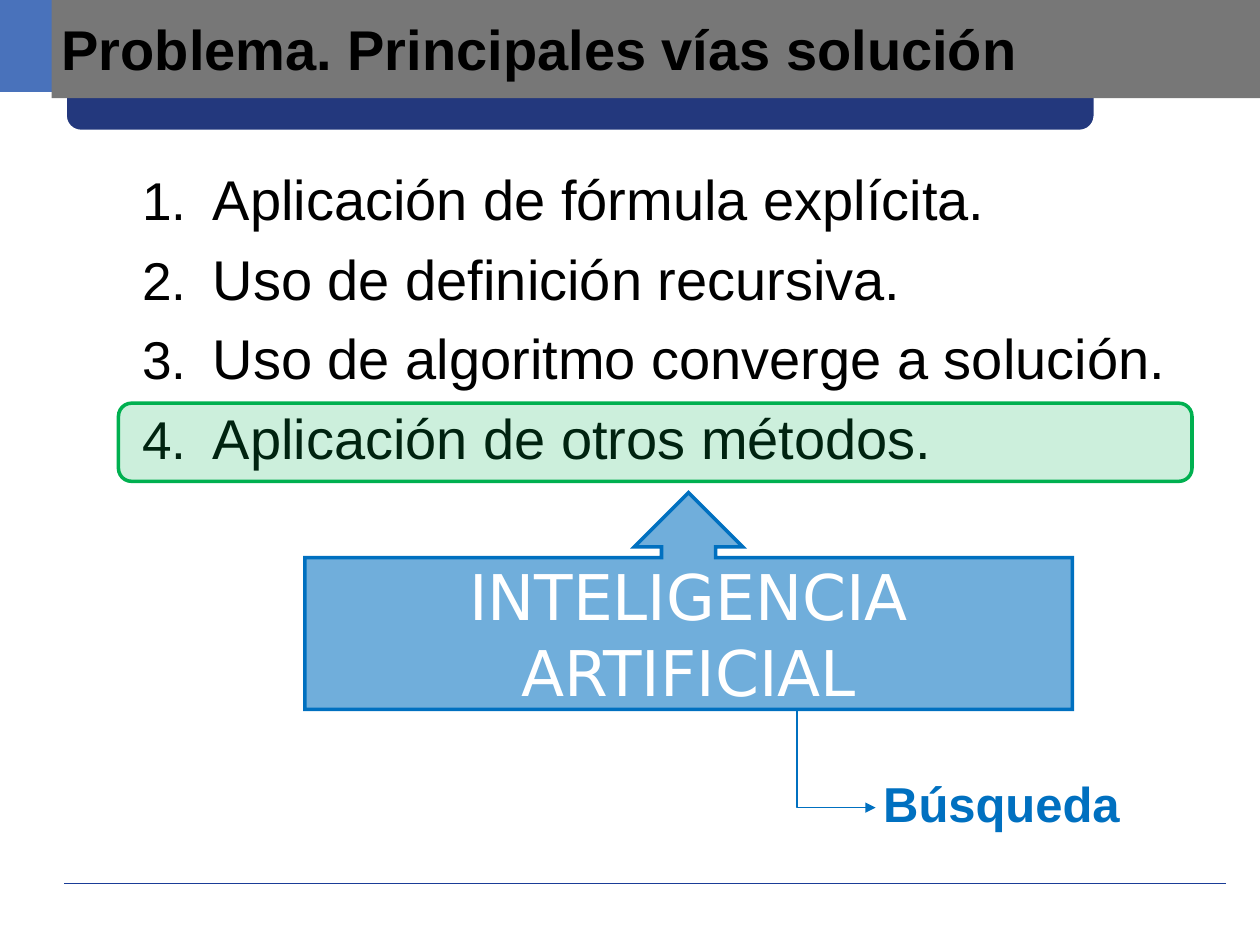
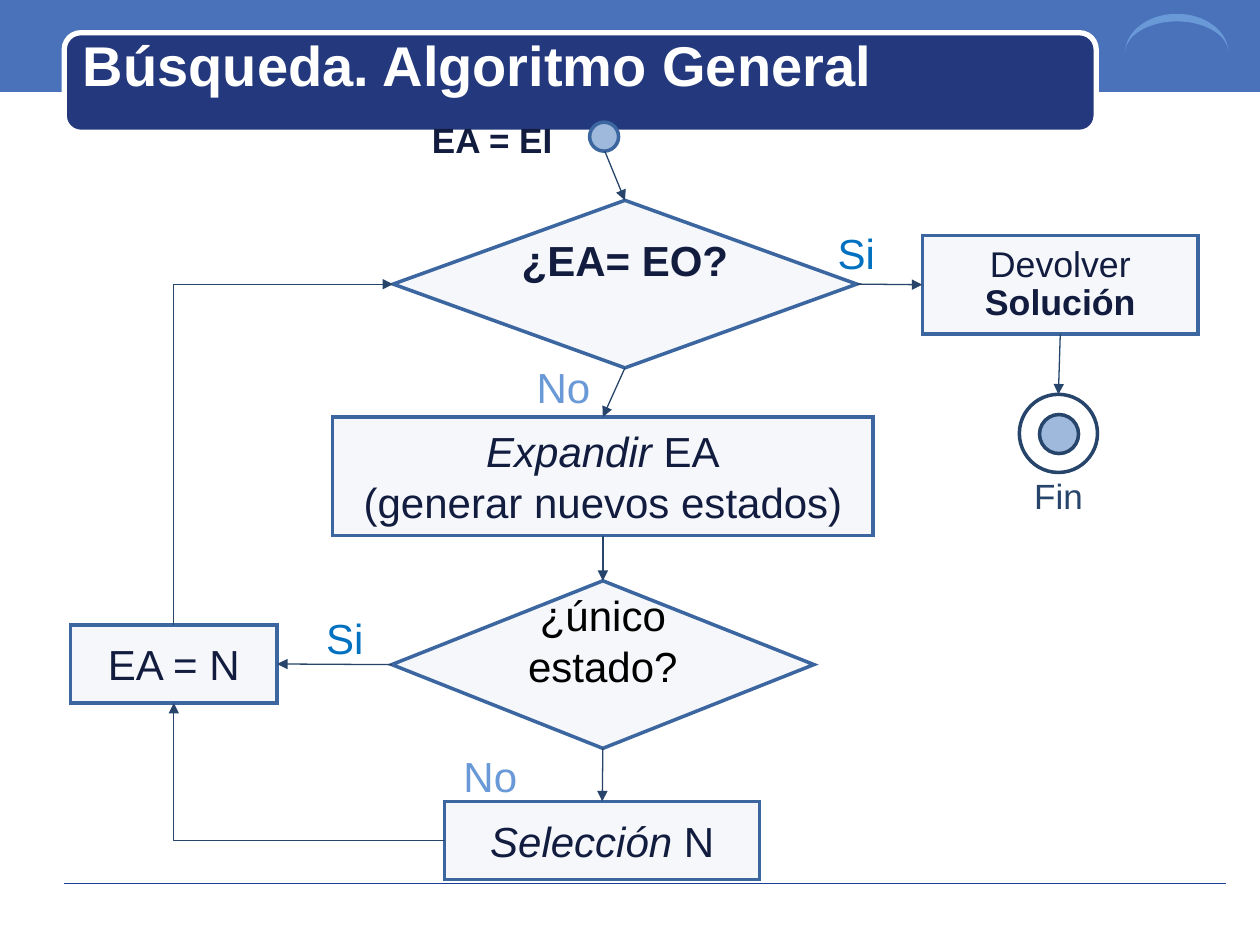
import math

from lxml import etree
from pptx import Presentation
from pptx.dml.color import RGBColor
from pptx.enum import shapes, text
from pptx.oxml import ns
from pptx.util import Inches, Pt

COLORS = {
    "band": "4972BB", "panel": "23387D", "rule": "1A3D97", "crescent": "6A99D8",
    "gray": "777777", "black": "000000", "white": "FFFFFF", "green": "00B050",
    "blue": "0070C0", "step": "9FB9DC", "step_line": "3B669F", "ink": "121C3F",
    "arrow": "27446A",
}
SHAPE = shapes.MSO_SHAPE
TOP, LEFT, BOTTOM, RIGHT = range(4)
TITLE = {"size": 32, "bold": True}
STEP = {"size": 24, "color": "ink"}
ITALIC = {**STEP, "italic": True}
FRAME = {"word_wrap": True, "vertical_anchor": text.MSO_ANCHOR.TOP,
         "margin_left": Inches(0.1), "margin_right": Inches(0.1),
         "margin_top": Inches(0.05), "margin_bottom": Inches(0.05)}
LABEL_FRAME = {"margin_right": 0}
# The lower margin lifts the question above the middle of the diamond.
DECISION_FRAME = {"margin_left": Inches(0.02), "margin_right": Inches(0.02),
                  "margin_top": Inches(0.04), "margin_bottom": Inches(0.43)}


def rgb(name):
    return RGBColor.from_string(COLORS[name])


def sub(parent, tag, **attributes):
    return etree.SubElement(parent, ns.qn(tag), attributes)


def set_attributes(target, values):
    for name, value in values.items():
        setattr(target, name, value)


def format_font(font, size, color="black", name="Arial", **flags):
    values = {"size": Pt(size), "name": name, **flags}
    set_attributes(font, values)
    font.color.rgb = rgb(color)


def write(shape, paragraphs, frame=None, **paragraph_values):
    """Fill a shape with paragraphs, each a list of (text, font format) runs."""
    text_frame = shape.text_frame
    set_attributes(text_frame, {**FRAME, **(frame or {})})
    for index, runs in enumerate(paragraphs):
        paragraph = text_frame.add_paragraph() if index else text_frame.paragraphs[0]
        set_attributes(paragraph, paragraph_values)
        for content, font_format in runs:
            run = paragraph.add_run()
            run.text = content
            format_font(run.font, **font_format)
    return text_frame.paragraphs


def paint(shape, fill=None, line=None, alpha=None, width=2):
    shape.shadow.inherit = False
    if fill:
        shape.fill.solid()
        shape.fill.fore_color.rgb = rgb(fill)
    else:
        shape.fill.background()
    if alpha:
        color = shape.fill._xPr.find(".//" + ns.qn("a:srgbClr"))
        sub(color, "a:alpha", val=str(alpha * 1000))
    if line:
        shape.line.color.rgb = rgb(line)
        shape.line.width = Pt(width)
        sub(shape.line._get_or_add_ln(), "a:miter", lim="800000")
    else:
        shape.line.fill.background()


def add_shape(slide, kind, box, **style):
    shape = slide.shapes.add_shape(kind, *map(Inches, box))
    paint(shape, **style)
    return shape


def add_text(slide, box, paragraphs, frame=None, **paragraph_values):
    shape = slide.shapes.add_textbox(*map(Inches, box))
    return write(shape, paragraphs, frame, **paragraph_values)


def add_label(slide, box, content, **font_format):
    add_text(slide, box, [[(content, font_format)]], LABEL_FRAME)


def add_title(slide, left, top, content, color):
    add_text(slide, (left, top, 9.69, 0.66), [[(content, {**TITLE, "color": color})]],
             {"vertical_anchor": text.MSO_ANCHOR.MIDDLE})


def add_step(slide, kind, box, paragraphs, frame=None, **paragraph_values):
    shape = add_shape(slide, kind, box, fill="step", line="step_line", alpha=10)
    write(shape, paragraphs, {"vertical_anchor": text.MSO_ANCHOR.MIDDLE, **(frame or {})},
          alignment=text.PP_ALIGN.CENTER, **paragraph_values)
    return shape


def add_line(slide, start, end, color="arrow", preset="line", arrow_end="a:tailEnd"):
    """Draw a connector; each end is an (x, y) point or a (shape, side) pair."""
    elbow = preset.startswith("bent")
    kind = shapes.MSO_CONNECTOR.ELBOW if elbow else shapes.MSO_CONNECTOR.STRAIGHT
    points, joins = [], []
    for first, second in (start, end):
        joined = hasattr(first, "shape_id")
        joins.append((first, second) if joined else None)
        points += [0, 0] if joined else [Inches(first), Inches(second)]
    connector = slide.shapes.add_connector(kind, *points)
    for join, connect in zip(joins, (connector.begin_connect, connector.end_connect)):
        if join:
            connect(*join)
    connector.line.color.rgb = rgb(color)
    connector.line.width = Pt(0.75)
    properties = connector._element.spPr
    properties.find(ns.qn("a:prstGeom")).set("prst", preset)
    if arrow_end:
        sub(connector.line._get_or_add_ln(), arrow_end, type="triangle")
    sub(properties, "a:effectLst")
    return connector


def add_crescent(slide):
    center_x, base_y, radius_x = 9.34, 0.42, 0.41
    angles = [math.pi * step / 40 for step in range(41)]
    outline = [(Inches(center_x + radius_x * math.cos(angle)),
                Inches(base_y - height * math.sin(angle)))
               for height, sweep in ((0.31, angles), (0.25, angles[::-1]))
               for angle in sweep]
    builder = slide.shapes.build_freeform(*outline[0])
    builder.add_line_segments(outline[1:], close=True)
    paint(builder.convert_to_shape(), fill="crescent")


def add_base_slide(presentation):
    slide = presentation.slides.add_slide(presentation.slide_layouts[6])
    add_shape(slide, SHAPE.RECTANGLE, (0, 0, 10, 0.73), fill="band")
    add_line(slide, (0.51, 7.01), (9.73, 7.01), color="rule", arrow_end=None)
    add_shape(slide, SHAPE.ROUNDED_RECTANGLE, (0.51, 0.26, 8.19, 0.79),
              fill="panel", line="white", width=3)
    return slide


def add_numbered_list(slide, box, items):
    paragraphs = add_text(slide, box, [[(item, {"size": 32})] for item in items])
    for index, paragraph in enumerate(paragraphs):
        if index:
            paragraph.space_before = Pt(7)
        properties = paragraph._p.get_or_add_pPr()
        properties.set("marL", str(Inches(0.64)))
        properties.set("indent", str(Inches(-0.56)))
        sub(sub(properties, "a:buClr"), "a:srgbClr", val=COLORS["black"])
        sub(properties, "a:buSzPct", val="95000")
        sub(properties, "a:buFont", typeface="Arial")
        sub(properties, "a:buAutoNum", type="arabicPeriod")


def build_solutions(presentation):
    slide = add_base_slide(presentation)
    add_shape(slide, SHAPE.RECTANGLE, (0.41, 0, 9.59, 0.78), fill="gray")
    add_title(slide, 0.39, 0.05, "Problema. Principales vías solución", "black")
    add_numbered_list(slide, (0.95, 1.26, 8.75, 5.55), [
        "Aplicación de fórmula explícita.",
        "Uso de definición recursiva.",
        "Uso de algoritmo converge a solución.",
        "Aplicación de otros métodos.",
    ])
    add_shape(slide, SHAPE.ROUNDED_RECTANGLE, (0.94, 3.2, 8.52, 0.62),
              fill="green", line="green", alpha=20)
    callout = add_shape(slide, SHAPE.UP_ARROW_CALLOUT, (2.42, 3.91, 6.09, 1.72),
                        fill="blue", line="blue", alpha=56)
    for index, value in enumerate((0.25, 0.25, 0.25, 0.7)):
        callout.adjustments[index] = value
    callout_font = {"size": 36, "color": "white", "name": "DejaVu Sans"}
    write(callout, [[("INTELIGENCIA ARTIFICIAL", callout_font)]],
          {"vertical_anchor": text.MSO_ANCHOR.MIDDLE}, alignment=text.PP_ALIGN.CENTER)
    add_text(slide, (6.41, 6.09, 2.66, 0.57),
             [[("Búsqueda", {"size": 28, "color": "blue", "bold": True})]],
             {"margin_left": Inches(0.6)})
    add_line(slide, (5.7, 5.63), (6.95, 6.41), color="blue", preset="bentConnector3")


def build_search(presentation):
    slide = add_base_slide(presentation)
    add_crescent(slide)
    add_title(slide, 0.56, 0.18, "Búsqueda. Algoritmo General", "white")

    expand = add_step(slide, SHAPE.RECTANGLE, (2.64, 3.31, 4.29, 0.94), [
        [("Expandir", ITALIC), (" EA", STEP)], [("(generar nuevos estados)", STEP)]])
    is_goal = add_step(slide, SHAPE.FLOWCHART_DECISION, (3.12, 1.59, 3.68, 1.33),
                       [[("¿EA= EO?", {**STEP, "bold": True})]], DECISION_FRAME)
    is_single = add_step(slide, SHAPE.FLOWCHART_DECISION, (3.11, 4.61, 3.35, 1.33),
                         [[("¿único estado?", {"size": 24})]], DECISION_FRAME)
    result_font = {"size": 20.4, "color": "ink"}
    result = add_step(slide, SHAPE.RECTANGLE, (7.32, 1.87, 2.19, 0.78),
                      [[("Devolver ", result_font),
                        ("Solución", {**result_font, "bold": True})]], line_spacing=0.9)
    select = add_step(slide, SHAPE.RECTANGLE, (3.53, 6.36, 2.5, 0.62),
                      [[("Selección", ITALIC), (" N", STEP)]])
    assign = add_step(slide, SHAPE.RECTANGLE, (0.56, 4.96, 1.64, 0.62),
                      [[("EA = N", STEP)]])
    add_shape(slide, SHAPE.OVAL, (4.68, 0.97, 0.23, 0.23), fill="step", line="step_line")
    add_shape(slide, SHAPE.OVAL, (8.25, 3.29, 0.31, 0.31), fill="step", line="arrow")
    finish = add_shape(slide, SHAPE.OVAL, (8.09, 3.13, 0.62, 0.62), line="arrow")

    for start, end in (
        ((4.8, 1.2), (is_goal, TOP)),
        ((is_goal, BOTTOM), (expand, TOP)),
        ((is_goal, RIGHT), (result, LEFT)),
        ((result, BOTTOM), (finish, TOP)),
        ((expand, BOTTOM), (is_single, TOP)),
        ((is_single, BOTTOM), (select, TOP)),
        ((is_single, LEFT), (assign, RIGHT)),
    ):
        add_line(slide, start, end)
    add_line(slide, (select, LEFT), (assign, BOTTOM), preset="bentConnector2")
    add_line(slide, (is_goal, LEFT), (assign, TOP), preset="bentConnector2",
             arrow_end="a:headEnd")

    for left, top in ((6.55, 1.76), (2.49, 4.81)):
        add_label(slide, (left, top, 0.49, 0.5), "Si", size=24, color="blue")
    for left, top in ((4.16, 2.82), (3.58, 5.91)):
        add_label(slide, (left, top, 0.62, 0.5), "No", size=24, color="crescent")
    add_label(slide, (8.11, 3.72, 0.58, 0.44), "Fin", size=20, color="arrow")
    add_text(slide, (3.33, 0.89, 1.44, 0.44),
             [[("EA = EI", {"size": 20, "color": "ink", "bold": True})]])


def main():
    presentation = Presentation()
    presentation.slide_width = Inches(10)
    presentation.slide_height = Inches(7.5)
    build_solutions(presentation)
    build_search(presentation)
    presentation.save("out.pptx")


if __name__ == "__main__":
    main()
